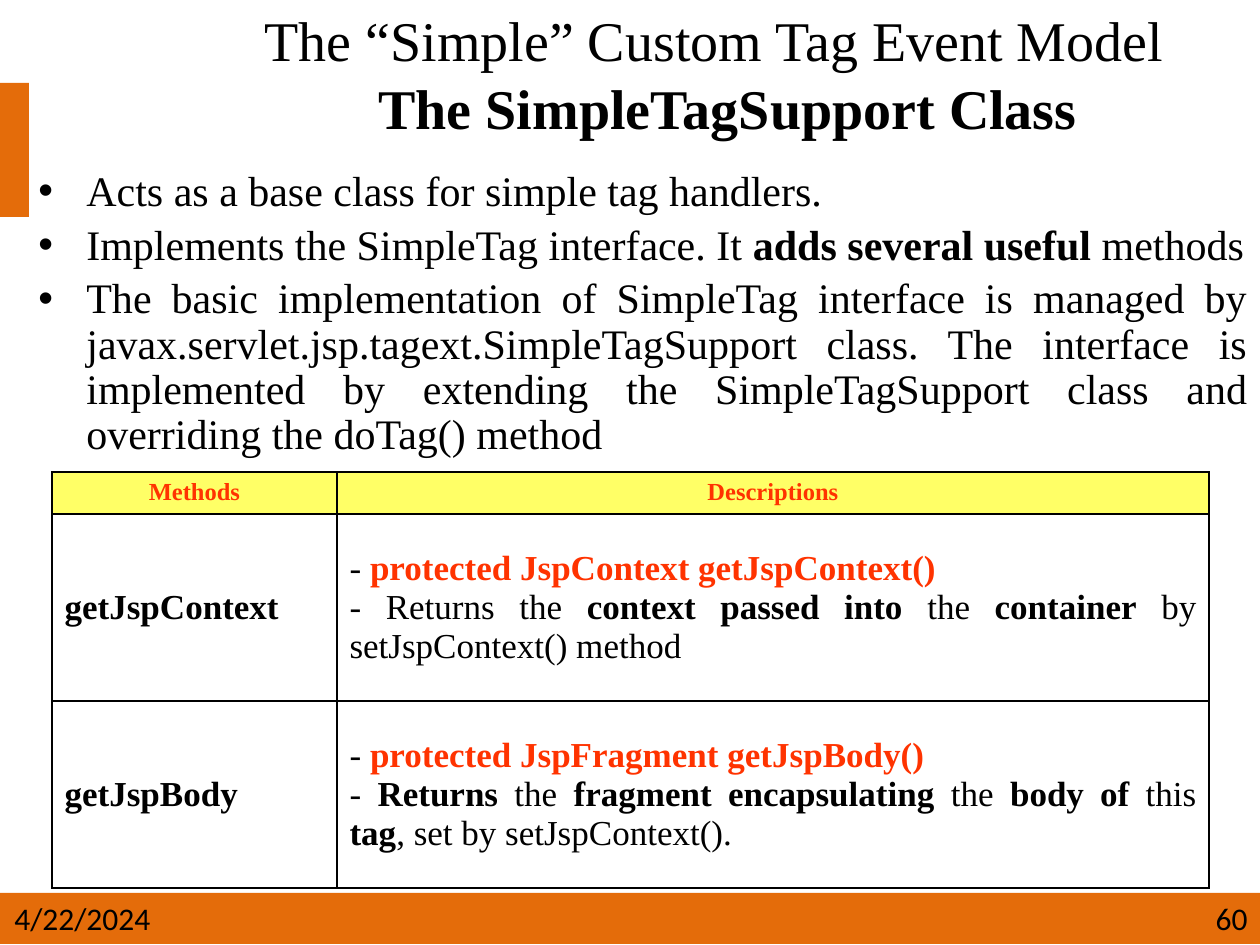
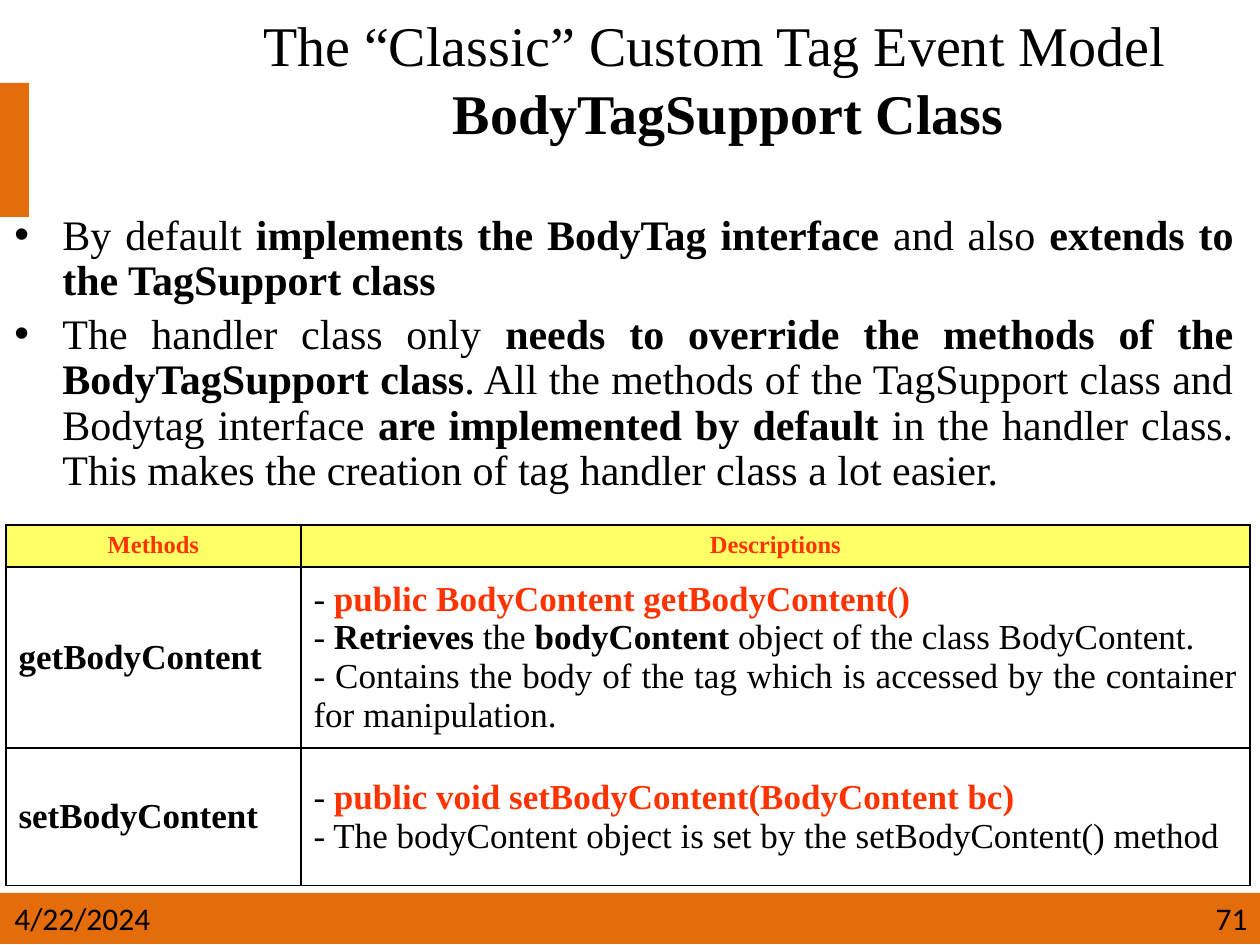
from dataclasses import dataclass
from lxml.etree import SubElement
from pptx import Presentation
from pptx.dml.color import RGBColor
from pptx.enum.shapes import MSO_SHAPE
from pptx.enum.text import MSO_ANCHOR, PP_ALIGN
from pptx.oxml.ns import qn
from pptx.util import Pt

DATE = "4/22/2024"
HEADS = ("*~Methods*", "*~Descriptions*")

SLIDES = [
    {
        "title": "The “Simple” Custom Tag Event Model \n* The SimpleTagSupport Class*",
        "title_box": (183, 0, 1077, 146),
        "points": [
            "Acts as a base class for simple tag handlers.",
            "Implements the SimpleTag interface. It *adds several useful* methods",
            "The basic implementation of SimpleTag interface is managed by "
            "javax.servlet.jsp.tagext.SimpleTagSupport class. The interface is implemented "
            "by extending the SimpleTagSupport class and overriding the doTag() method",
        ],
        "points_box": (26, 164, 1234, 307),
        "rows": [
            ("getJspContext", [
                "- *~protected JspContext getJspContext()*",
                "- Returns the *context passed into* the *container* by setJspContext() method",
            ]),
            ("getJspBody", [
                "- *~protected JspFragment getJspBody()*",
                "- *Returns* the *fragment encapsulating* the *body of* this *tag*, "
                "set by setJspContext().",
            ]),
        ],
        "grid": (52, 472),
        "cols": (285, 872),
        "tall": (42, 187, 187),
        "page": "60",
    },
    {
        "title": "The “Classic” Custom Tag Event Model \n* BodyTagSupport Class*",
        "title_box": (183, 0, 1077, 156),
        "points": [
            "By default *implements the BodyTag interface* and also "
            "*extends to the TagSupport class*",
            "The handler class only *needs to override the methods of the "
            "BodyTagSupport class*. All the methods of the TagSupport class and Bodytag "
            "interface *are implemented by default* in the handler class. This makes the "
            "creation of tag handler class a lot easier.",
        ],
        "points_box": (2, 208, 1244, 313),
        "rows": [
            ("getBodyContent", [
                "- *~public BodyContent getBodyContent()*",
                "- *Retrieves* the *bodyContent* object of the class BodyContent.",
                "- Contains the body of the tag which is accessed by the container "
                "for manipulation.",
            ]),
            ("setBodyContent", [
                "- *~public void setBodyContent(BodyContent bc)*",
                "- The bodyContent object is set by the setBodyContent() method",
            ]),
        ],
        "grid": (6, 525),
        "cols": (295, 949),
        "tall": (42, 180, 138),
        "page": "71",
    },
]


@dataclass(frozen=True)
class Theme:
    band: str = "E46C0A"
    ink: str = "000000"
    red: str = "FF3300"
    head: str = "FFFF66"
    serif: str = "Times New Roman"
    sans: str = "Calibri"
    title: int = 32
    body: int = 24
    cell: int = 20
    label: int = 14
    foot: int = 18


THEME = Theme()
WIDE, HIGH = 1260, 945
BANDS = [(0, 83, 29, 134), (0, 893, WIDE, 51)]


def px(n):
    return round(n * 914400 / 126)


def place(box):
    return [px(n) for n in box]


def tint(code):
    return RGBColor.from_string(code)


def write(frame, lines, size, font=THEME.serif, align=PP_ALIGN.LEFT,
          anchor=MSO_ANCHOR.TOP, bullet=False):
    frame.word_wrap = True
    frame.vertical_anchor = anchor
    for i, line in enumerate(lines):
        para = frame.add_paragraph() if i else frame.paragraphs[0]
        if bullet:
            props = para._p.get_or_add_pPr()
            props.set("marL", str(px(48)))
            props.set("indent", str(px(-48)))
            SubElement(props, qn("a:buFont")).set("typeface", "Arial")
            SubElement(props, qn("a:buChar")).set("char", "•")
            para.line_spacing = 0.9
            para.space_before = Pt(size * 0.2 if i else 0)
        para.alignment = align
        for j, part in enumerate(line.split("*")):
            for k, piece in enumerate(part.split("\n")):
                if k:
                    para.add_line_break()
                if not piece:
                    continue
                run = para.add_run()
                run.text = piece.removeprefix("~")
                run.font.name = font
                run.font.size = Pt(size)
                run.font.bold = j % 2 == 1
                run.font.color.rgb = tint(THEME.red if piece[0] == "~" else THEME.ink)


def put(slide, box, lines, **form):
    write(slide.shapes.add_textbox(*place(box)).text_frame, lines, **form)


def edge(cell):
    props = cell._tc.get_or_add_tcPr()
    for i, side in enumerate(("lnL", "lnR", "lnT", "lnB")):
        line = props.makeelement(qn(f"a:{side}"), {"w": str(Pt(1))})
        fill = SubElement(line, qn("a:solidFill"))
        SubElement(fill, qn("a:srgbClr")).set("val", THEME.ink)
        props.insert(i, line)


def draw_grid(slide, data):
    cols, tall = data["cols"], data["tall"]
    box = (*data["grid"], sum(cols), sum(tall))
    table = slide.shapes.add_table(len(tall), len(cols), *place(box)).table
    table.first_row = table.horz_banding = False
    for col, size in zip(table.columns, cols):
        col.width = px(size)
    for row, size in zip(table.rows, tall):
        row.height = px(size)
    for i, head in enumerate(HEADS):
        cell = table.cell(0, i)
        cell.fill.solid()
        cell.fill.fore_color.rgb = tint(THEME.head)
        write(cell.text_frame, [head], size=THEME.label, align=PP_ALIGN.CENTER)
        edge(cell)
    for i, (name, notes) in enumerate(data["rows"], 1):
        for j, lines in enumerate(([f"*{name}*"], notes)):
            cell = table.cell(i, j)
            cell.fill.background()
            write(cell.text_frame, lines, size=THEME.cell,
                  align=PP_ALIGN.JUSTIFY if j else PP_ALIGN.LEFT)
            cell.vertical_anchor = MSO_ANCHOR.MIDDLE
            edge(cell)


def draw_base(slide, page):
    for box in BANDS:
        band = slide.shapes.add_shape(MSO_SHAPE.RECTANGLE, *place(box))
        band.shadow.inherit = False
        band.fill.solid()
        band.fill.fore_color.rgb = tint(THEME.band)
        band.line.fill.background()
    foot = {"size": THEME.foot, "font": THEME.sans}
    put(slide, (2, 893, 192, 50), [DATE], **foot)
    put(slide, (882, 893, 378, 50), [page], align=PP_ALIGN.RIGHT, **foot)


def main():
    deck = Presentation()
    deck.slide_width, deck.slide_height = px(WIDE), px(HIGH)
    for data in SLIDES:
        slide = deck.slides.add_slide(deck.slide_layouts[6])
        draw_base(slide, data["page"])
        put(slide, data["title_box"], [data["title"]], size=THEME.title,
            align=PP_ALIGN.CENTER, anchor=MSO_ANCHOR.MIDDLE)
        put(slide, data["points_box"], data["points"], size=THEME.body,
            align=PP_ALIGN.JUSTIFY, bullet=True)
        draw_grid(slide, data)
    deck.save("out.pptx")


if __name__ == "__main__":
    main()
